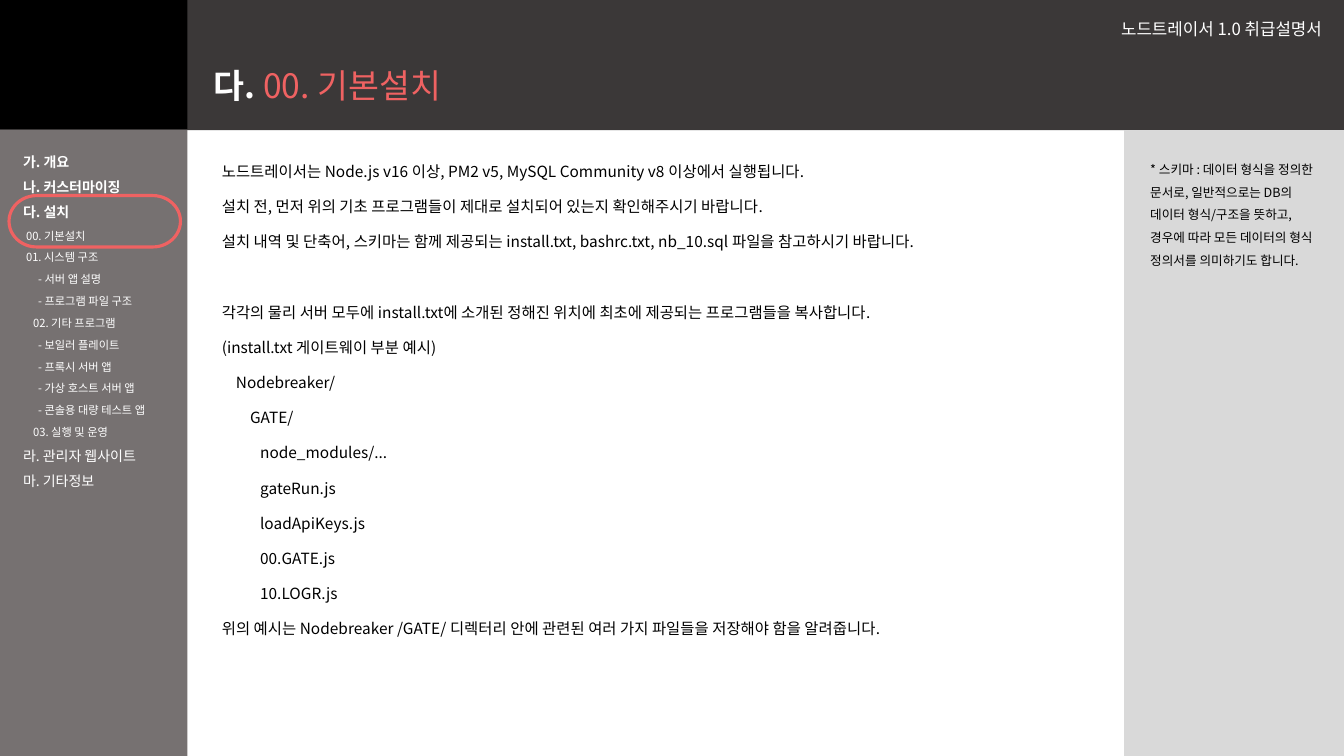
from lxml import etree
from pptx import Presentation
from pptx.dml.color import RGBColor
from pptx.enum.shapes import MSO_SHAPE
from pptx.enum.text import MSO_ANCHOR, MSO_AUTO_SIZE, PP_ALIGN
from pptx.oxml.ns import qn
from pptx.util import Inches, Pt

RECTANGLE, TERMINATOR = MSO_SHAPE.RECTANGLE, MSO_SHAPE.FLOWCHART_TERMINATOR
TOP, MIDDLE = MSO_ANCHOR.TOP, MSO_ANCHOR.MIDDLE
LEFT, RIGHT, JUSTIFY = PP_ALIGN.LEFT, PP_ALIGN.RIGHT, PP_ALIGN.JUSTIFY
NO_AUTOFIT = MSO_AUTO_SIZE.NONE
FONT = "Noto Sans CJK KR"
WHITE, BLACK, CORAL = "FFFFFF", "000000", "EF6262"


def place(box, left, top, width, height, anchor=TOP):
    box.left, box.top = Inches(left), Inches(top)
    box.width, box.height = Inches(width), Inches(height)
    frame = box.text_frame
    frame.word_wrap = True
    frame.auto_size = NO_AUTOFIT
    frame.vertical_anchor = anchor
    box.element.getparent().append(box.element)
    return frame


def style(paragraph, size, color, align=LEFT, spacing=1.0, before=0, after=0, indent=0, bold=False):
    properties = paragraph._p.get_or_add_pPr()
    properties.set("marL", str(Inches(indent)))
    properties.set("indent", "0")
    etree.SubElement(properties, qn("a:buNone"))
    paragraph.alignment = align
    paragraph.line_spacing = spacing
    paragraph.space_before = Pt(before)
    paragraph.space_after = Pt(after)
    for run in paragraph.runs:
        run.font.size = Pt(size)
        run.font.bold = bold
        run.font.name = FONT
        run.font.color.rgb = RGBColor.from_string(color)
        etree.SubElement(run.font._element, qn("a:ea")).set("typeface", FONT)


prs = Presentation()
prs.slide_width, prs.slide_height = Inches(13.33), Inches(7.5)
slide = prs.slides.add_slide(prs.slide_layouts[1])
shapes = slide.shapes

panels = [
    (0, 0, 13.33, 1.29, "3B3838"),
    (0, 1.29, 1.86, 6.21, "767171"),
    (11.15, 1.29, 2.18, 6.21, "D9D9D9"),
    (0, 0, 1.86, 1.28, BLACK),
]
for left, top, width, height, color in panels:
    panel = shapes.add_shape(RECTANGLE, Inches(left), Inches(top), Inches(width), Inches(height))
    panel.shadow.inherit = False
    panel.fill.solid()
    panel.fill.fore_color.rgb = RGBColor.from_string(color)
    panel.line.fill.background()

manual_name = place(shapes.add_textbox(0, 0, 0, 0), 9.36, 0.14, 3.85, 0.31, MIDDLE)
manual_name.text = "노드트레이서 1.0 취급설명서"
style(manual_name.paragraphs[0], 12, WHITE, RIGHT, 0.9)

title = place(shapes.title, 2.02, 0.54, 11.3, 0.65, MIDDLE)
title.text = "다. "
heading = title.paragraphs[0]
heading.add_run().text = "00. 기본설치"
style(heading, 24, WHITE, spacing=0.9)
chapter, section = heading.runs
chapter.font.bold = True
section.font.color.rgb = RGBColor.from_string(CORAL)

contents = [
    ("가. 개요", 10, 0, True),
    ("나. 커스터마이징", 10, 0, True),
    ("다. 설치", 10, 0, True),
    ("00. 기본설치", 8, 0.03, False),
    ("01. 시스템 구조", 8, 0.03, False),
    ("- 서버 앱 설명", 8, 0.15, False),
    ("- 프로그램 파일 구조", 8, 0.15, False),
    ("02. 기타 프로그램", 8, 0.1, False),
    ("- 보일러 플레이트", 8, 0.15, False),
    ("- 프록시 서버 앱", 8, 0.15, False),
    ("- 가상 호스트 서버 앱", 8, 0.15, False),
    ("- 콘솔용 대량 테스트 앱", 8, 0.15, False),
    ("03. 실행 및 운영", 8, 0.1, False),
    ("라. 관리자 웹사이트", 10, 0, False),
    ("마. 기타정보", 10, 0, False),
]
menu = place(shapes.add_textbox(0, 0, 0, 0), 0.13, 1.47, 1.65, 5.08)
menu.text = "\n".join(entry[0] for entry in contents)
for number, (entry, (_, size, indent, bold)) in enumerate(zip(menu.paragraphs, contents)):
    style(entry, size, WHITE, JUSTIFY, before=6 if number else 0, indent=indent, bold=bold)

current_mark = shapes.add_shape(TERMINATOR, Inches(0.09), Inches(1.94), Inches(1.7), Inches(0.51))
current_mark.shadow.inherit = False
current_mark.fill.background()
current_mark.line.color.rgb = RGBColor.from_string(CORAL)
current_mark.line.width = Pt(2.25)

instructions = [
    ("노드트레이서는 Node.js v16 이상, PM2 v5, MySQL Community v8 이상에서 실행됩니다.", 0, 0),
    ("설치 전, 먼저 위의 기초 프로그램들이 제대로 설치되어 있는지 확인해주시기 바랍니다.", 0, 0),
    ("설치 내역 및 단축어, 스키마는 함께 제공되는 install.txt, bashrc.txt, nb_10.sql 파일을 참고하시기 바랍니다.", 0, 0),
    ("각각의 물리 서버 모두에 install.txt에 소개된 정해진 위치에 최초에 제공되는 프로그램들을 복사합니다.", 0, 25.2),
    ("(install.txt 게이트웨이 부분 예시)", 0, 0),
    ("Nodebreaker/", 0.14, 0),
    ("GATE/", 0.28, 0),
    ("node_modules/...", 0.38, 0),
    ("gateRun.js", 0.38, 0),
    ("loadApiKeys.js", 0.38, 0),
    ("00.GATE.js", 0.38, 0),
    ("10.LOGR.js", 0.38, 0),
    ("위의 예시는 Nodebreaker /GATE/ 디렉터리 안에 관련된 여러 가지 파일들을 저장해야 함을 알려줍니다.", 0, 0),
]
body = place(slide.placeholders[1], 2.1, 1.5, 8.25, 4.9)
body.text = "\n".join(step[0] for step in instructions)
for step, (_, indent, before) in zip(body.paragraphs, instructions):
    style(step, 11, BLACK, JUSTIFY, 1.3, before, 8, indent)

glossary = place(shapes.add_textbox(0, 0, 0, 0), 11.31, 1.48, 1.89, 1.43)
glossary.text = (
    "* 스키마 : 데이터 형식을 정의한 문서로, 일반적으로는 DB의 데이터 형식/구조을 뜻하고, "
    "경우에 따라 모든 데이터의 형식 정의서를 의미하기도 합니다."
)
style(glossary.paragraphs[0], 9, BLACK, spacing=1.5, after=8)

prs.save("out.pptx")
